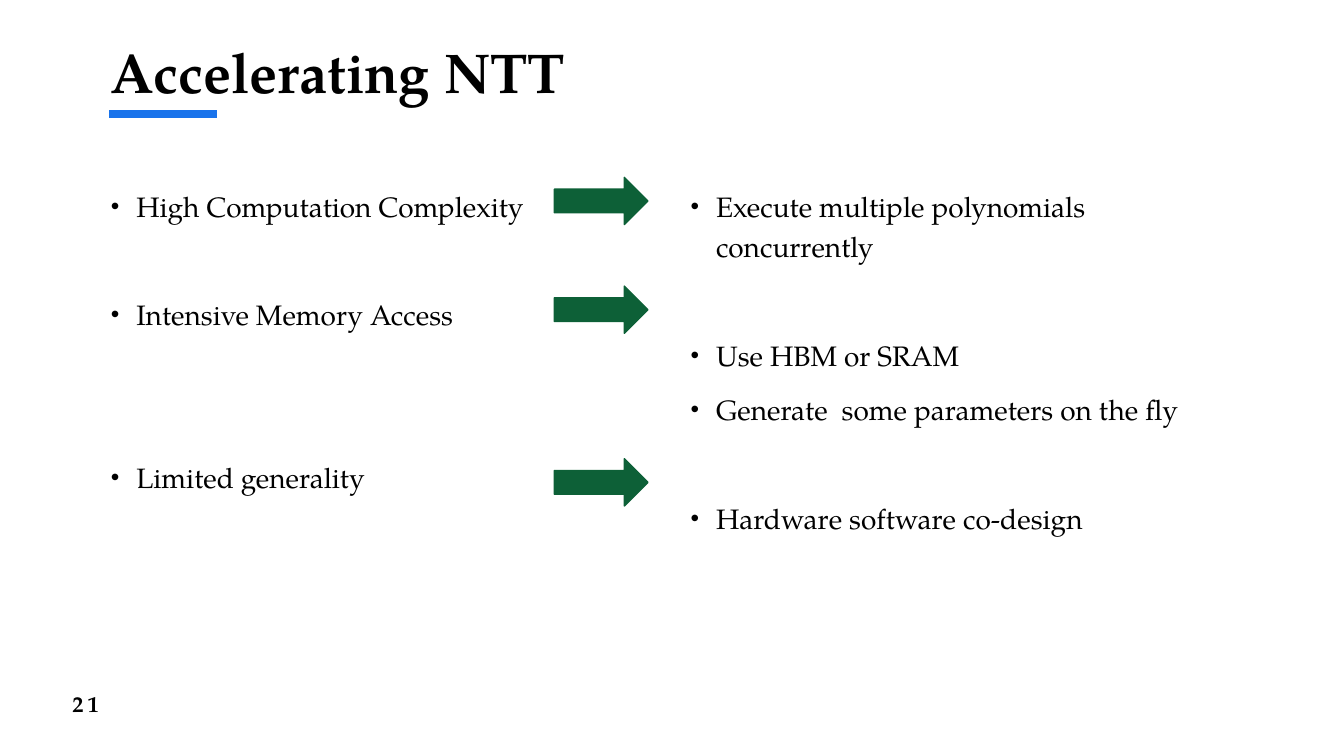
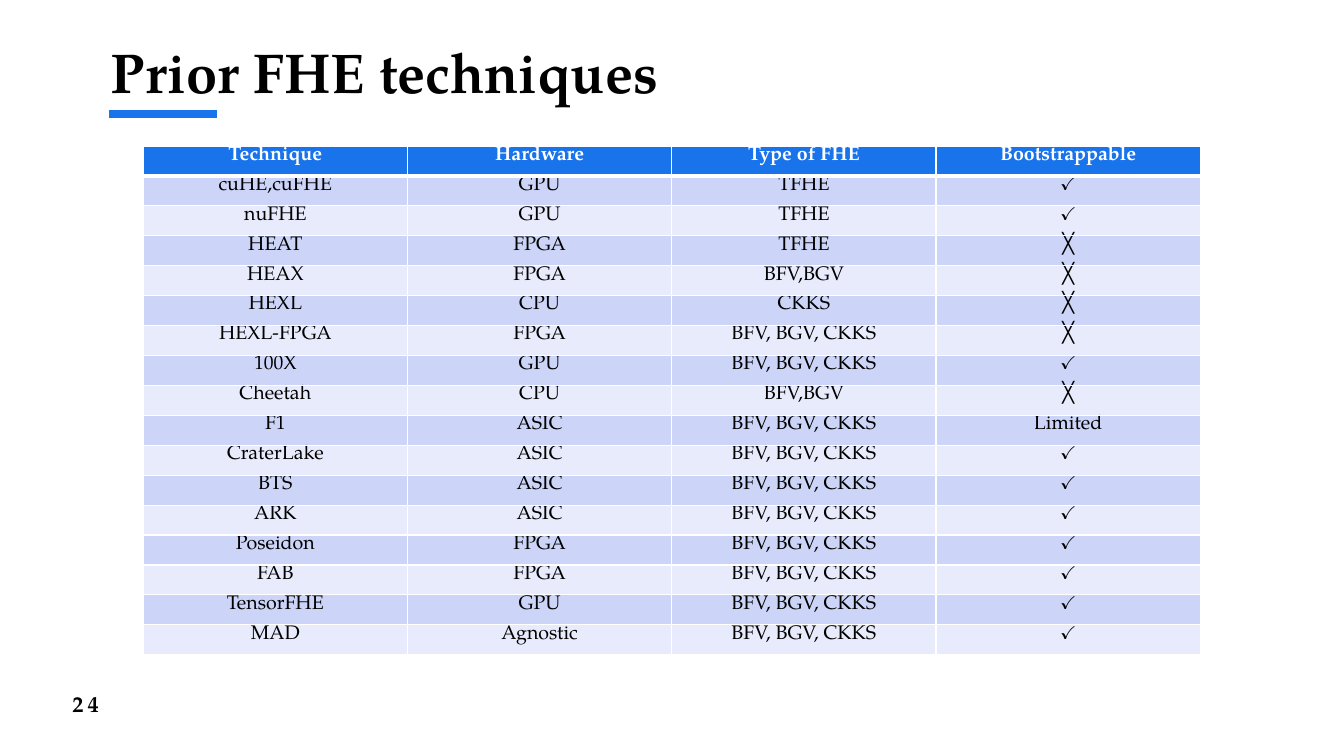
from dataclasses import dataclass
from typing import NamedTuple

from lxml.etree import SubElement
from pptx import Presentation
from pptx.dml.color import RGBColor
from pptx.enum.shapes import MSO_CONNECTOR, MSO_SHAPE
from pptx.enum.text import MSO_ANCHOR, MSO_AUTO_SIZE, PP_ALIGN
from pptx.oxml import parse_xml
from pptx.oxml.ns import nsdecls, qn
from pptx.util import Cm, Pt


@dataclass(frozen=True)
class Theme:
    font: str = "TeX Gyre Pagella"
    ink: RGBColor = RGBColor(0x00, 0x00, 0x00)
    white: RGBColor = RGBColor(0xFF, 0xFF, 0xFF)
    accent: RGBColor = RGBColor(0x19, 0x73, 0xEB)
    arrow: RGBColor = RGBColor(0x0D, 0x60, 0x37)
    bands: tuple = (RGBColor(0xCC, 0xD5, 0xF7), RGBColor(0xE8, 0xEB, 0xFB))
    title_size: int = 40
    body_size: int = 20
    number_size: int = 16
    table_size: int = 14


THEME = Theme()


class Box(NamedTuple):
    """Left, top, width and height in centimetres."""
    left: float
    top: float
    width: float
    height: float

    def lengths(self) -> list:
        return [Cm(value) for value in self]


class Bullet(NamedTuple):
    text: str
    lines_above: int = 0


class Technique(NamedTuple):
    name: str
    hardware: str
    scheme: str
    bootstrappable: str


TITLE_BOX = Box(2.54, 0.81, 28.78, 3.66)
NUMBER_BOX = Box(0.74, 17.22, 2, 1.02)
CHALLENGE_BOX = Box(2.54, 4.47, 11.15, 12.37)
SOLUTION_BOX = Box(17.15, 4.47, 14.17, 12.37)
TABLE_BOX = Box(3.61, 3.68, 26.64, 12.82)
ARROW_TOPS = (4.47, 7.21, 11.56)
BULLET_GAP = 10
BULLET_PITCH = 38.8

CHALLENGES = (
    Bullet("High Computation Complexity"),
    Bullet("Intensive Memory Access", 1),
    Bullet("Limited generality", 2),
)
SOLUTIONS = (
    Bullet("Execute multiple polynomials concurrently"),
    Bullet("Use HBM or SRAM", 1),
    Bullet("Generate  some parameters on the fly"),
    Bullet("Hardware software co-design", 1),
)

YES, NO = "✓", "╳"
ALL_SCHEMES = "BFV, BGV, CKKS"
HEADINGS = Technique("Technique", "Hardware", "Type of FHE", "Bootstrappable")
TECHNIQUES = (
    Technique("cuHE,cuFHE", "GPU", "TFHE", YES),
    Technique("nuFHE", "GPU", "TFHE", YES),
    Technique("HEAT", "FPGA", "TFHE", NO),
    Technique("HEAX", "FPGA", "BFV,BGV", NO),
    Technique("HEXL", "CPU", "CKKS", NO),
    Technique("HEXL-FPGA", "FPGA", ALL_SCHEMES, NO),
    Technique("100X", "GPU", ALL_SCHEMES, YES),
    Technique("Cheetah", "CPU", "BFV,BGV", NO),
    Technique("F1", "ASIC", ALL_SCHEMES, "Limited"),
    Technique("CraterLake", "ASIC", ALL_SCHEMES, YES),
    Technique("BTS", "ASIC", ALL_SCHEMES, YES),
    Technique("ARK", "ASIC", ALL_SCHEMES, YES),
    Technique("Poseidon", "FPGA", ALL_SCHEMES, YES),
    Technique("FAB", "FPGA", ALL_SCHEMES, YES),
    Technique("TensorFHE", "GPU", ALL_SCHEMES, YES),
    Technique("MAD", "Agnostic", ALL_SCHEMES, YES),
)


def format_runs(paragraph, size: int, color: RGBColor = THEME.ink, bold: bool = False) -> None:
    for run in paragraph.runs:
        run.font.name = THEME.font
        run.font.size = Pt(size)
        run.font.bold = bold
        run.font.color.rgb = color


def place(shape, box: Box) -> None:
    shape.left, shape.top, shape.width, shape.height = box.lengths()


def add_slide(deck, layout_index: int, title: str, number: int):
    """Add a slide with its title, accent rule and slide number."""
    slide = deck.slides.add_slide(deck.slide_layouts[layout_index])

    heading = slide.shapes.title
    place(heading, TITLE_BOX)
    frame = heading.text_frame
    frame.text = title
    frame.auto_size = MSO_AUTO_SIZE.NONE
    frame.vertical_anchor = MSO_ANCHOR.TOP
    frame.paragraphs[0].alignment = PP_ALIGN.LEFT
    format_runs(frame.paragraphs[0], THEME.title_size, bold=True)

    rule = slide.shapes.add_connector(
        MSO_CONNECTOR.STRAIGHT, Cm(2.75), Cm(2.87), Cm(5.46), Cm(2.87))
    rule.line.color.rgb = THEME.accent
    rule.line.width = Pt(6)
    SubElement(rule.element.spPr, qn("a:effectLst"))

    frame = slide.shapes.add_textbox(*NUMBER_BOX.lengths()).text_frame
    frame.text = str(number)
    frame.word_wrap = True
    frame.vertical_anchor = MSO_ANCHOR.MIDDLE
    frame.paragraphs[0].alignment = PP_ALIGN.RIGHT
    format_runs(frame.paragraphs[0], THEME.number_size, bold=True)
    frame.paragraphs[0].runs[0].font._element.set("spc", "300")
    return slide


def fill_bullets(placeholder, box: Box, bullets: tuple) -> None:
    place(placeholder, box)
    frame = placeholder.text_frame
    frame.text = "\n".join(bullet.text for bullet in bullets)
    frame.auto_size = MSO_AUTO_SIZE.NONE
    for index, (paragraph, bullet) in enumerate(zip(frame.paragraphs, bullets)):
        properties = paragraph._p.get_or_add_pPr()
        properties.set("marL", str(Cm(0.64)))
        properties.set("indent", str(-Cm(0.64)))
        SubElement(properties, qn("a:buSzPct"), val="87000")
        SubElement(properties, qn("a:buFont"), typeface="Arial")
        SubElement(properties, qn("a:buChar"), char="•")
        paragraph.line_spacing = 1.2
        gap = BULLET_GAP + BULLET_PITCH * bullet.lines_above
        paragraph.space_before = Pt(gap if index else 0)
        format_runs(paragraph, THEME.body_size)


def add_arrow(slide, top: float) -> None:
    arrow = slide.shapes.add_shape(
        MSO_SHAPE.RIGHT_ARROW, *Box(13.97, top, 2.36, 1.19).lengths())
    arrow.shadow.inherit = False
    arrow.fill.solid()
    arrow.fill.fore_color.rgb = THEME.arrow
    arrow.line.color.rgb = THEME.arrow
    arrow.line.width = Pt(1)


def set_borders(cell, top: float, bottom: float) -> None:
    """Draw white borders, one point wide at the sides."""
    properties = cell._tc.get_or_add_tcPr()
    widths = {"lnL": 1, "lnR": 1, "lnT": top, "lnB": bottom}
    for position, (tag, width) in enumerate(widths.items()):
        properties.insert(position, parse_xml(
            f'<a:{tag} {nsdecls("a")} w="{Pt(width)}"><a:solidFill>'
            f'<a:srgbClr val="{THEME.white}"/></a:solidFill></a:{tag}>'))


def add_technique_table(slide) -> None:
    records = (HEADINGS, *TECHNIQUES)
    table = slide.shapes.add_table(
        len(records), len(HEADINGS), *TABLE_BOX.lengths()).table
    for row_index, record in enumerate(records):
        is_header = row_index == 0
        band = THEME.accent if is_header else THEME.bands[(row_index - 1) % 2]
        for column_index, value in enumerate(record):
            cell = table.cell(row_index, column_index)
            cell.text_frame.text = value
            cell.margin_top = cell.margin_bottom = 0
            cell.vertical_anchor = MSO_ANCHOR.TOP
            cell.fill.solid()
            cell.fill.fore_color.rgb = band
            set_borders(cell, 3 if row_index == 1 else 1, 3 if is_header else 1)
            paragraph = cell.text_frame.paragraphs[0]
            paragraph.alignment = PP_ALIGN.CENTER
            format_runs(paragraph, THEME.table_size,
                        THEME.white if is_header else THEME.ink, is_header)


def main() -> None:
    deck = Presentation()
    deck.slide_width, deck.slide_height = Cm(33.87), Cm(19.05)

    accelerating = add_slide(deck, 3, "Accelerating NTT", 21)
    fill_bullets(accelerating.placeholders[1], CHALLENGE_BOX, CHALLENGES)
    fill_bullets(accelerating.placeholders[2], SOLUTION_BOX, SOLUTIONS)
    for top in ARROW_TOPS:
        add_arrow(accelerating, top)

    prior = add_slide(deck, 5, "Prior FHE techniques", 24)
    add_technique_table(prior)

    deck.save("out.pptx")


if __name__ == "__main__":
    main()
